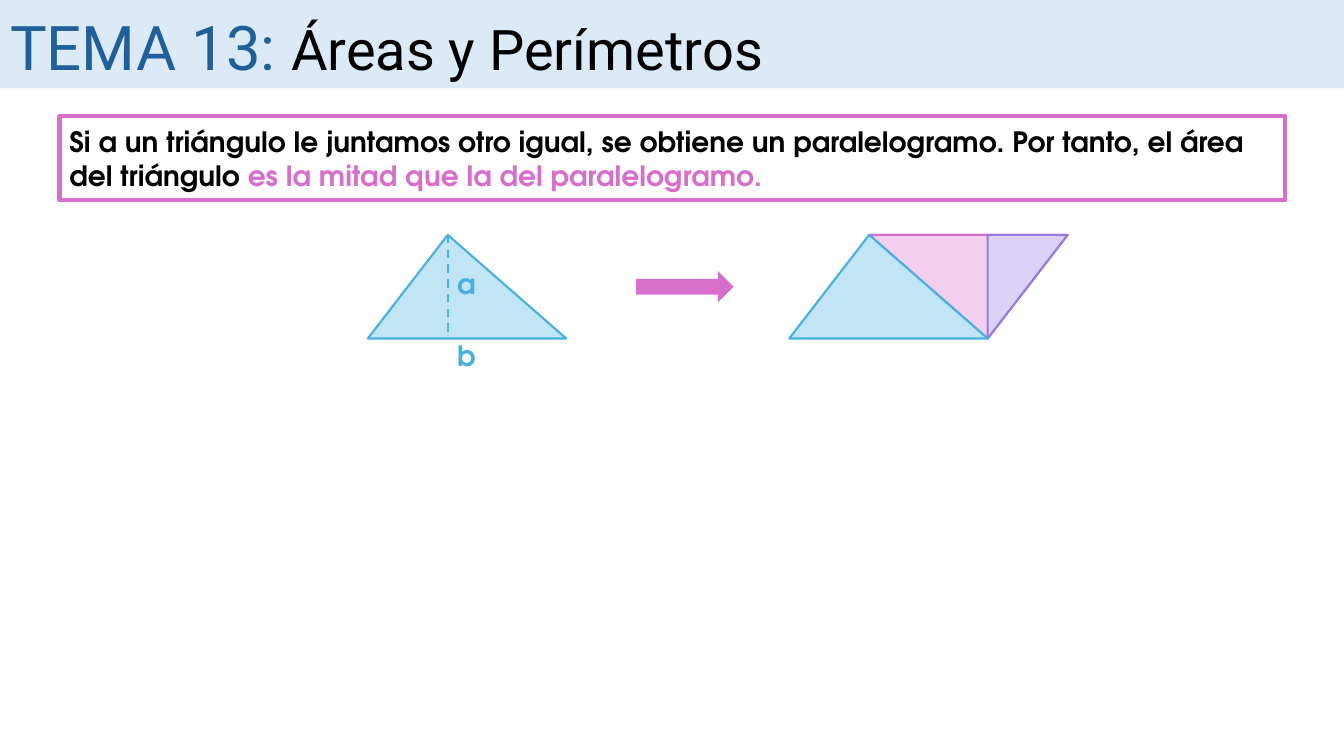
from lxml.etree import SubElement
from pptx import Presentation
from pptx.dml.color import RGBColor
from pptx.enum.dml import MSO_LINE as Dash
from pptx.enum.shapes import MSO_CONNECTOR as Link, MSO_SHAPE as Kind
from pptx.enum.text import MSO_ANCHOR as Anchor, PP_ALIGN as Align
from pptx.oxml.ns import qn
from pptx.util import Cm, Pt

BLACK = RGBColor(0x00, 0x00, 0x00)
NAVY = RGBColor(0x21, 0x5F, 0x9A)
BAND = RGBColor(0xDC, 0xEA, 0xF7)
SKY = RGBColor(0xC1, 0xE5, 0xF5)
BLUE = RGBColor(0x46, 0xB1, 0xE1)
ROSE = RGBColor(0xF2, 0xCF, 0xEE)
PINK = RGBColor(0xD8, 0x6E, 0xCC)
LILAC = RGBColor(0xDB, 0xD2, 0xF6)
VIOLET = RGBColor(0x95, 0x79, 0xE3)

HEAD = "Roboto"
BODY = "TeX Gyre Adventor"

WIDE = Cm(33.87)
TOP, BASE, HIGH = Cm(5.92), Cm(5), Cm(2.61)
SLANT = 0.403  # apex position as a share of the base
APEX = int(BASE * SLANT)


def paint(shape, fill=None, edge=None, width=1.5):
    shape.shadow.inherit = False
    if fill is None:
        shape.fill.background()
    else:
        shape.fill.solid()
        shape.fill.fore_color.rgb = fill
    if edge is None:
        shape.line.fill.background()
    else:
        shape.line.color.rgb = edge
        shape.line.width = Pt(width)


def add_block(slide, kind, left, top, width, height, fill=None, edge=None, line=1.5):
    shape = slide.shapes.add_shape(kind, left, top, width, height)
    paint(shape, fill, edge, line)
    return shape


def add_triangle(slide, left, fill, edge, turn=0):
    shape = add_block(slide, Kind.ISOSCELES_TRIANGLE, left, TOP, BASE, HIGH, fill, edge)
    shape.adjustments[0] = SLANT
    shape.rotation = turn


def add_half(slide, points, fill, edge):
    """Draw one of the right triangles that make up the upper triangle."""
    pen = slide.shapes.build_freeform(*points[0])
    pen.add_line_segments(points[1:], close=True)
    paint(pen.convert_to_shape(), fill, edge)


def add_height(slide, x):
    line = slide.shapes.add_connector(Link.STRAIGHT, x, TOP, x, TOP + HIGH)
    line.line.color.rgb = BLUE
    line.line.width = Pt(1.5)
    line.line.dash_style = Dash.DASH
    SubElement(line._element.spPr, qn("a:effectLst"))


def add_runs(para, runs):
    for text, color in runs:
        run = para.add_run()
        run.text = text
        run.font.color.rgb = color
    return para.runs


def add_label(slide, text, top):
    box = slide.shapes.add_textbox(Cm(11.02), top, Cm(1.47), Cm(1.11))
    box.text_frame.word_wrap = True
    para = box.text_frame.paragraphs[0]
    para.text = text
    para.alignment = Align.CENTER
    set_body(para, BLUE)


def set_body(para, color=None):
    font = para.font
    font.name, font.size, font.bold = BODY, Pt(20), True
    if color is not None:
        font.color.rgb = color


def add_title(slide):
    add_block(slide, Kind.RECTANGLE, 0, 0, WIDE, Cm(2.23), BAND)
    title = slide.shapes.title
    slide.shapes._spTree.append(title._element)  # in front of the band
    title.left, title.top, title.width, title.height = 0, Cm(0.1), Cm(30.1), Cm(2.13)
    frame = title.text_frame
    frame.vertical_anchor = Anchor.MIDDLE
    para = frame.paragraphs[0]
    para.alignment = Align.LEFT
    para.font.name = HEAD
    topic, name = add_runs(para, [("TEMA 13: ", NAVY), ("Áreas y Perímetros", BLACK)])
    topic.font.size, name.font.size = Pt(44), Pt(40)


def add_rule(slide):
    box = add_block(slide, Kind.RECTANGLE, Cm(1.5), Cm(2.92), Cm(30.89), Cm(2.13),
                    edge=PINK, line=3)
    frame = box.text_frame
    frame.word_wrap = True
    frame.vertical_anchor = Anchor.MIDDLE
    para = frame.paragraphs[0]
    para.alignment = Align.LEFT
    set_body(para)
    add_runs(para, [
        ("Si a un triángulo le juntamos otro igual, se obtiene un paralelogramo. "
         "Por tanto, el área del triángulo ", BLACK),
        ("es la mitad que la del paralelogramo.", PINK),
    ])


def add_single(slide):
    left = Cm(9.27)
    add_triangle(slide, left, SKY, BLUE)
    add_height(slide, left + APEX)
    add_label(slide, "a", Cm(6.58))
    add_label(slide, "b", Cm(8.41))


def add_double(slide):
    """Join two equal triangles into a parallelogram."""
    left = Cm(19.89)
    peak, foot = left + APEX, left + BASE
    low = (foot, TOP + HIGH)
    add_half(slide, [(peak, TOP), (foot, TOP), low], ROSE, PINK)
    add_triangle(slide, peak, ROSE, PINK, 180)
    add_half(slide, [(foot, TOP), (peak + BASE, TOP), low], LILAC, VIOLET)
    add_triangle(slide, left, SKY, BLUE)


def main():
    deck = Presentation()
    deck.slide_width, deck.slide_height = WIDE, Cm(19.05)
    slide = deck.slides.add_slide(deck.slide_layouts[5])
    add_title(slide)
    add_rule(slide)
    add_single(slide)
    add_block(slide, Kind.RIGHT_ARROW, Cm(16.03), Cm(6.83), Cm(2.46), Cm(0.79), PINK)
    add_double(slide)
    deck.save("out.pptx")


if __name__ == "__main__":
    main()
